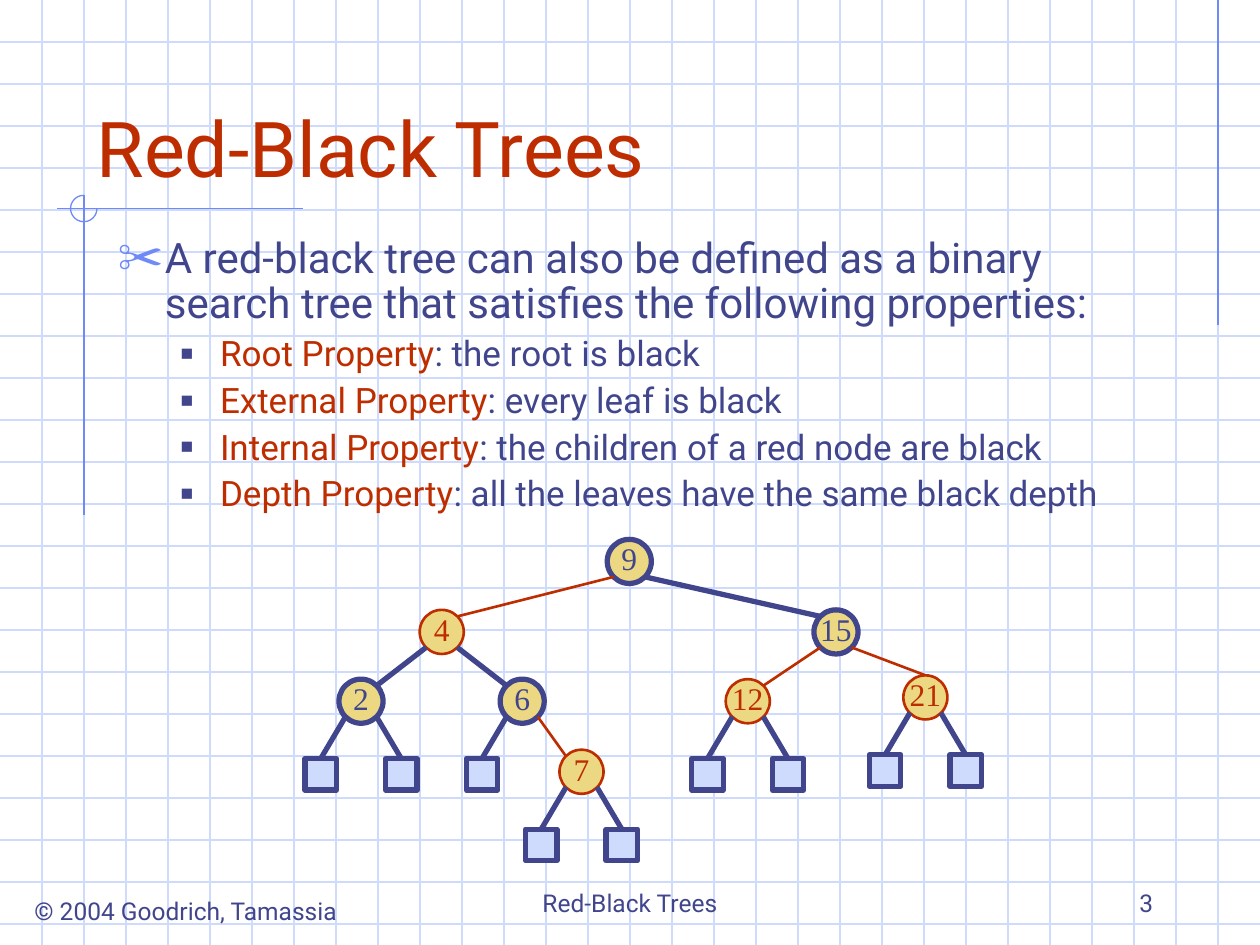
from lxml.etree import SubElement
from pptx import Presentation
from pptx.dml.color import RGBColor
from pptx.enum.shapes import MSO_CONNECTOR, MSO_SHAPE
from pptx.enum.text import MSO_ANCHOR, MSO_AUTO_SIZE, PP_ALIGN
from pptx.oxml.ns import qn
from pptx.util import Pt

NAVY = RGBColor(0x40, 0x45, 0x8C)
RED = RGBColor(0xBE, 0x2D, 0x00)
BLUE = RGBColor(0x6F, 0x89, 0xF7)
PALE_BLUE = RGBColor(0xCF, 0xDB, 0xFD)
YELLOW = RGBColor(0xEC, 0xD8, 0x82)

presentation = Presentation()
presentation.slide_width, presentation.slide_height = Pt(720), Pt(540)
slide = presentation.slides.add_slide(presentation.slide_layouts[1])
shapes = slide.shapes


def add_line(x1, y1, x2, y2, color, width):
    line = shapes.add_connector(MSO_CONNECTOR.STRAIGHT, Pt(x1), Pt(y1), Pt(x2), Pt(y2))
    line.line.color.rgb = color
    line.line.width = Pt(width)
    SubElement(line._element.spPr, qn("a:effectLst"))
    return line


def add_outlined(kind, left, top, size, fill, color, width):
    shape = shapes.add_shape(kind, Pt(left), Pt(top), Pt(size), Pt(size))
    shape.shadow.inherit = False
    shape.fill.solid()
    shape.fill.fore_color.rgb = fill
    shape.line.color.rgb = color
    shape.line.width = Pt(width)
    return shape


GRID = 24
for y in range(GRID, 540, GRID):
    add_line(0, y, 720, y, PALE_BLUE, 0.75)
for x in range(GRID, 720, GRID):
    add_line(x, 0, x, 540, PALE_BLUE, 0.75)

add_line(696, 0, 696, 186, BLUE, 0.75)
add_line(173, 119.3, 32.5, 119.3, BLUE, 0.75)
add_line(48, 111.6, 48, 294.5, BLUE, 0.75)
arc = shapes.add_shape(MSO_SHAPE.ARC, Pt(40.3), Pt(111.6), Pt(15.1), Pt(15.1))
arc.adjustments[0], arc.adjustments[1] = 0, 162
arc.shadow.inherit = False
arc.fill.background()
arc.line.color.rgb = BLUE
arc.line.width = Pt(0.75)

footers = [
    ("© 2004 Goodrich, Tamassia", 8.6, 508.3, 195.1, 24.5, PP_ALIGN.CENTER, MSO_ANCHOR.TOP),
    ("Red-Black Trees", 246, 492, 228, 36, PP_ALIGN.CENTER, MSO_ANCHOR.BOTTOM),
    ("3", 516, 492, 150, 36, PP_ALIGN.RIGHT, MSO_ANCHOR.BOTTOM),
]
for text, left, top, width, height, alignment, anchor in footers:
    footer = shapes.add_textbox(Pt(left), Pt(top), Pt(width), Pt(height))
    frame = footer.text_frame
    frame.word_wrap = True
    frame.vertical_anchor = anchor
    paragraph = frame.paragraphs[0]
    paragraph.text = text
    paragraph.alignment = alignment
    paragraph.font.name = "Roboto"
    paragraph.font.size = Pt(14)
    paragraph.font.color.rgb = NAVY

title = shapes.title
body = slide.placeholders[1]
for placeholder in (title, body):
    shapes._spTree.append(placeholder._element)

title.left, title.top, title.width, title.height = Pt(48), Pt(24), Pt(612), Pt(90)
title.text_frame.auto_size = MSO_AUTO_SIZE.NONE
title.text_frame.vertical_anchor = MSO_ANCHOR.BOTTOM
paragraph = title.text_frame.paragraphs[0]
paragraph.text = "Red-Black Trees"
paragraph.alignment = PP_ALIGN.LEFT
paragraph.font.name = "Roboto"
paragraph.font.size = Pt(44)
paragraph.font.color.rgb = RED

body.left, body.top, body.width, body.height = Pt(60), Pt(132), Pt(618), Pt(174)
frame = body.text_frame
frame.auto_size = MSO_AUTO_SIZE.NONE
properties = [
    ("", "A red-black tree can also be defined as a binary search tree "
         "that satisfies the following properties:"),
    ("Root Property", ": the root is black"),
    ("External Property", ": every leaf is black"),
    ("Internal Property", ": the children of a red node are black"),
    ("Depth Property", ": all the leaves have the same black depth"),
]
levels = [
    ("✂", BLUE, 110, 27, 27, 24, 0),
    ("■", NAVY, 60, 58.5, 22.5, 20, 5),
]
for index, (term, text) in enumerate(properties):
    paragraph = frame.add_paragraph() if index else frame.paragraphs[0]
    paragraph.level = min(index, 1)
    bullet, color, percent, margin, hanging, size, space = levels[paragraph.level]
    settings = paragraph._p.get_or_add_pPr()
    settings.set("marL", str(Pt(margin)))
    settings.set("indent", str(-Pt(hanging)))
    bullet_color = SubElement(settings, qn("a:buClr"))
    SubElement(bullet_color, qn("a:srgbClr"), val=str(color))
    SubElement(settings, qn("a:buSzPct"), val=str(percent * 1000))
    SubElement(settings, qn("a:buChar"), char=bullet)
    paragraph.line_spacing = 0.9
    paragraph.space_before = Pt(space)
    paragraph.font.name = "Roboto"
    paragraph.font.size = Pt(size)
    for part, part_color in ((term, RED), (text, NAVY)):
        if part:
            run = paragraph.add_run()
            run.text = part
            run.font.color.rgb = part_color

NODE, LEAF = 25.2, 18
LEAF_SHIFT, LEAF_DROP = 23, 45.4
NEAR, FAR = NODE * 0.15, NODE * 0.85
LEFT, RIGHT = "left", "right"
BELOW = {LEFT: NEAR, RIGHT: FAR}
ABOVE = {LEFT: FAR, RIGHT: NEAR}

nodes = {
    9: (347, 308.2, NAVY, []),
    4: (239.8, 348.5, RED, []),
    15: (465.1, 348.5, NAVY, []),
    2: (193.7, 388.1, NAVY, [LEFT, RIGHT]),
    6: (285.8, 388.1, NAVY, [LEFT]),
    12: (414.7, 388.1, RED, [LEFT, RIGHT]),
    21: (516.2, 385.9, RED, [LEFT, RIGHT]),
    7: (319.7, 428.4, RED, [LEFT, RIGHT]),
}
branches = [
    (9, 4, LEFT), (9, 15, RIGHT), (4, 2, LEFT), (4, 6, RIGHT),
    (15, 12, LEFT), (15, 21, RIGHT), (6, 7, RIGHT),
]
line_widths = {NAVY: 3, RED: 1.5}

for key, (left, top, color, leaf_sides) in nodes.items():
    node = add_outlined(MSO_SHAPE.OVAL, left, top, NODE, YELLOW, color, line_widths[color])
    frame = node.text_frame
    frame.margin_left = frame.margin_top = frame.margin_right = 0
    frame.margin_bottom = Pt(3.6)
    frame.word_wrap = False
    frame.vertical_anchor = MSO_ANCHOR.MIDDLE
    paragraph = frame.paragraphs[0]
    paragraph.text = str(key)
    paragraph.alignment = PP_ALIGN.CENTER
    paragraph.font.name = "Times New Roman"
    paragraph.font.size = Pt(18)
    paragraph.font.color.rgb = color

    for side in leaf_sides:
        center = left + NODE / 2 + (LEAF_SHIFT if side == RIGHT else -LEAF_SHIFT)
        leaf_top = top + LEAF_DROP
        leaf = add_outlined(MSO_SHAPE.RECTANGLE, center - LEAF / 2, leaf_top, LEAF, PALE_BLUE, NAVY, 3)
        edge = add_line(center, leaf_top, left + BELOW[side], top + FAR, NAVY, 3)
        edge.begin_connect(leaf, 0)

for parent, child, side in branches:
    parent_left, parent_top = nodes[parent][:2]
    left, top, color = nodes[child][:3]
    end_x, end_y = (left + NODE / 2, top) if child == 21 else (left + ABOVE[side], top + NEAR)
    add_line(end_x, end_y, parent_left + BELOW[side], parent_top + FAR, color, line_widths[color])

presentation.save("out.pptx")
